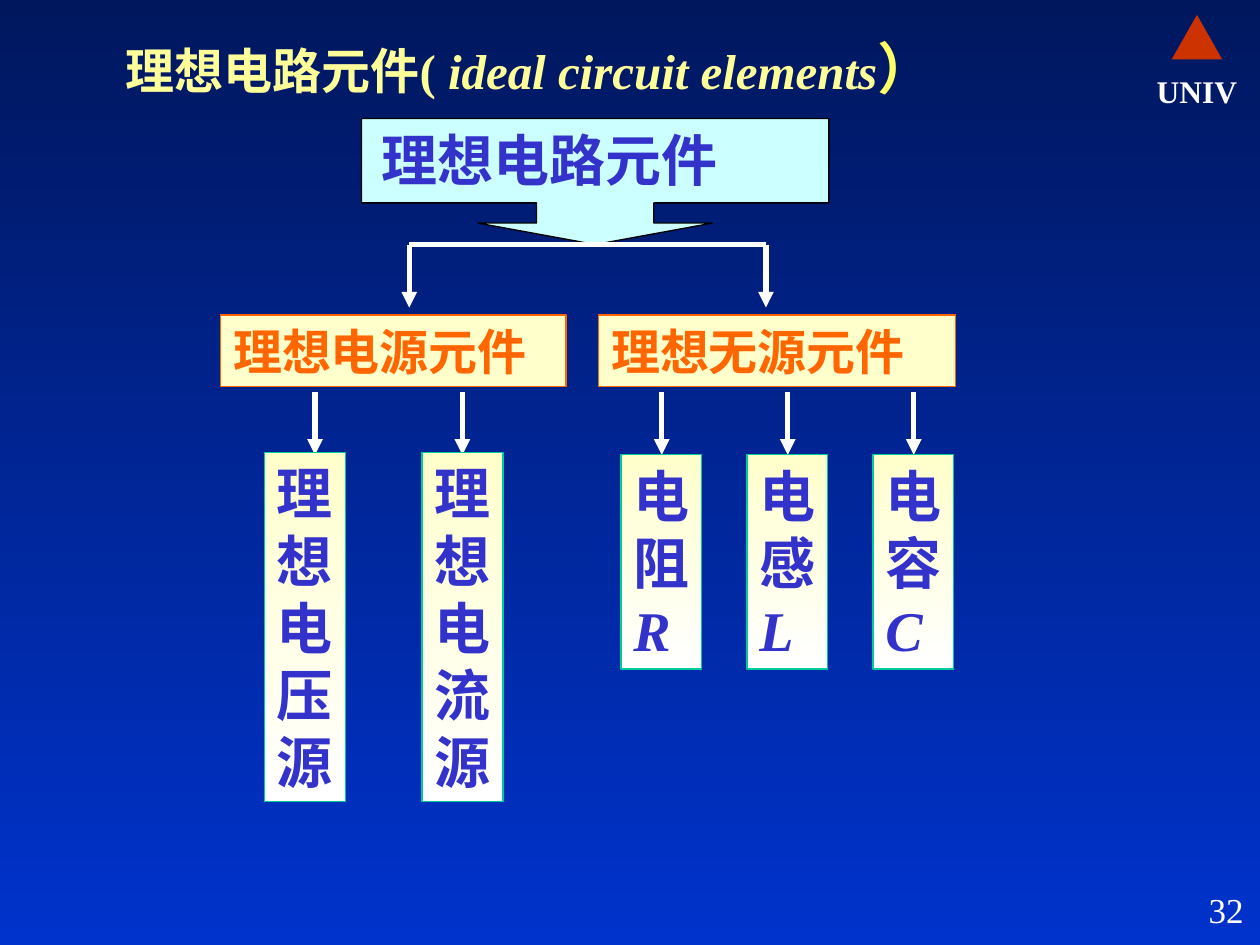
import pptx
import pptx.util
import pptx.dml.color
import pptx.enum.shapes
import pptx.enum.text
import pptx.oxml.ns
import lxml.etree

Cm, Pt = pptx.util.Cm, pptx.util.Pt
RGBColor = pptx.dml.color.RGBColor
SHAPE = pptx.enum.shapes.MSO_SHAPE
ALIGN = pptx.enum.text.PP_ALIGN
ANCHOR = pptx.enum.text.MSO_ANCHOR
qn = pptx.oxml.ns.qn

NAVY = RGBColor(0x00, 0x17, 0x5E)
BLUE = RGBColor(0x00, 0x33, 0xCC)
INDIGO = RGBColor(0x33, 0x33, 0xCC)
ORANGE = RGBColor(0xFF, 0x66, 0x00)
RED = RGBColor(0xCC, 0x33, 0x00)
GREEN = RGBColor(0x00, 0xCC, 0x99)
CYAN = RGBColor(0xCC, 0xFF, 0xFF)
CREAM = RGBColor(0xFF, 0xFF, 0xCC)
PALE_YELLOW = RGBColor(0xFF, 0xFF, 0x99)
YELLOW = RGBColor(0xFF, 0xFF, 0x66)
WHITE = RGBColor(0xFF, 0xFF, 0xFF)
BLACK = RGBColor(0x00, 0x00, 0x00)
LATIN, CHINESE = "Times New Roman", "Noto Sans CJK SC"

# Content: text, size, colour, italic
TITLE = [
    ("理想电路元件( ", 28, PALE_YELLOW, False),
    ("ideal circuit elements", 28, PALE_YELLOW, True),
    ("）", 32, YELLOW, False),
]
ROOT = "理想电路元件"
# Lengths in cm; each step is the distance from one item to the next
CATEGORIES = [
    {"name": "理想电源元件", "left": 4.45, "width": 6.96, "branch": 8.25,
     "items": ["理想电压源", "理想电流源"], "item_top": 9.12, "item_height": 7.04,
     "item_left": 5.33, "item_step": 3.18, "arrow_left": 6.35, "arrow_step": 2.97},
    {"name": "理想无源元件", "left": 12.07, "width": 7.19, "branch": 15.44,
     "items": ["电阻R", "电感L", "电容C"], "item_top": 9.17, "item_height": 4.32,
     "item_left": 12.52, "item_step": 2.54, "arrow_left": 13.34, "arrow_step": 2.54},
]
BRANCH_TOP, BRANCH_BOTTOM = 4.93, 6.2
ARROW_TOP, ARROW_BOTTOM = 7.9, 9.17

deck = pptx.Presentation()
deck.slide_width, deck.slide_height = Cm(25.4), Cm(19.05)
page = deck.slides.add_slide(deck.slide_layouts[6])


def set_gradient(fill, top, bottom):
    fill.gradient()
    fill.gradient_angle = 270
    for stop, color in zip(fill.gradient_stops, (top, bottom)):
        stop.color.rgb = color


def style_span(span, size, color, bold=True, italic=False):
    span.font.size, span.font.bold, span.font.italic = Pt(size), bold, italic
    span.font.color.rgb = color
    span.font.name = LATIN
    east_asian = lxml.etree.SubElement(span.font._element, qn("a:ea"))
    east_asian.set("typeface", CHINESE)


def write(box, lines, size, color, align=ALIGN.LEFT, anchor=ANCHOR.MIDDLE,
          wrap=True, bold=True):
    frame = box.text_frame
    frame.text = "\n".join(lines)
    frame.word_wrap, frame.vertical_anchor = wrap, anchor
    for para in frame.paragraphs:
        para.alignment = align
        for span in para.runs:
            style_span(span, size, color, bold, italic=span.text in ("R", "L", "C"))


def add_box(kind, left, top, width, height, line=None):
    box = page.shapes.add_shape(kind, Cm(left), Cm(top), Cm(width), Cm(height))
    box.shadow.inherit = False
    if line is None:
        box.line.fill.background()
    else:
        box.line.color.rgb, box.line.width = line, Pt(0.75)
    return box


def add_text(left, top, width, height):
    return page.shapes.add_textbox(Cm(left), Cm(top), Cm(width), Cm(height))


def add_line(x1, y1, x2, y2, arrow=True):
    line = page.shapes.add_connector(pptx.enum.shapes.MSO_CONNECTOR.STRAIGHT,
                                     Cm(x1), Cm(y1), Cm(x2), Cm(y2))
    line.line.color.rgb, line.line.width = WHITE, Pt(3)
    if arrow:
        tail = lxml.etree.SubElement(line.line._get_or_add_ln(), qn("a:tailEnd"))
        tail.set("type", "triangle")
    lxml.etree.SubElement(line._element.spPr, qn("a:effectLst"))


# Background and emblem
set_gradient(page.background.fill, NAVY, BLUE)
emblem = add_box(SHAPE.ISOSCELES_TRIANGLE, 23.62, 0.3, 1.02, 0.9)
emblem.fill.solid()
emblem.fill.fore_color.rgb = RED
school = add_text(23.04, 1.45, 2.18, 0.76)
write(school, ["UNIV"], 18, WHITE, ALIGN.CENTER, wrap=False)

# Title
title = add_text(2.29, 0.56, 20.6, 1.63)
title.text_frame.word_wrap = True
for text, size, color, italic in TITLE:
    span = title.text_frame.paragraphs[0].add_run()
    span.text = text
    style_span(span, size, color, italic=italic)

# Root of the tree
callout = add_box(SHAPE.DOWN_ARROW_CALLOUT, 7.29, 2.39, 9.42, 2.54, BLACK)
callout.fill.solid()
callout.fill.fore_color.rgb = CYAN
for index, value in enumerate((0.93, 0.93, 0.17, 0.67)):
    callout.adjustments[index] = value
write(add_text(7.44, 2.39, 7.29, 1.63), [ROOT], 32, INDIGO, ALIGN.CENTER, wrap=False)
add_line(CATEGORIES[0]["branch"], BRANCH_TOP, CATEGORIES[-1]["branch"], BRANCH_TOP,
         arrow=False)

# Categories with their elements
for category in CATEGORIES:
    add_line(category["branch"], BRANCH_TOP, category["branch"], BRANCH_BOTTOM)
    heading = add_box(SHAPE.RECTANGLE, category["left"], 6.35, category["width"], 1.45,
                      ORANGE)
    heading.fill.solid()
    heading.fill.fore_color.rgb = CREAM
    write(heading, [category["name"]], 28, ORANGE)
    for index, item in enumerate(category["items"]):
        x = category["arrow_left"] + index * category["arrow_step"]
        add_line(x, ARROW_TOP, x, ARROW_BOTTOM)
        leaf = add_box(SHAPE.RECTANGLE,
                       category["item_left"] + index * category["item_step"],
                       category["item_top"], 1.63, category["item_height"], GREEN)
        set_gradient(leaf.fill, CREAM, WHITE)
        write(leaf, list(item), 32, INDIGO, wrap=False)

# Page number
write(add_text(20.04, 17.78, 5.28, 1.27), ["32"], 20, WHITE, ALIGN.RIGHT, ANCHOR.TOP,
      bold=False)

deck.save("out.pptx")
